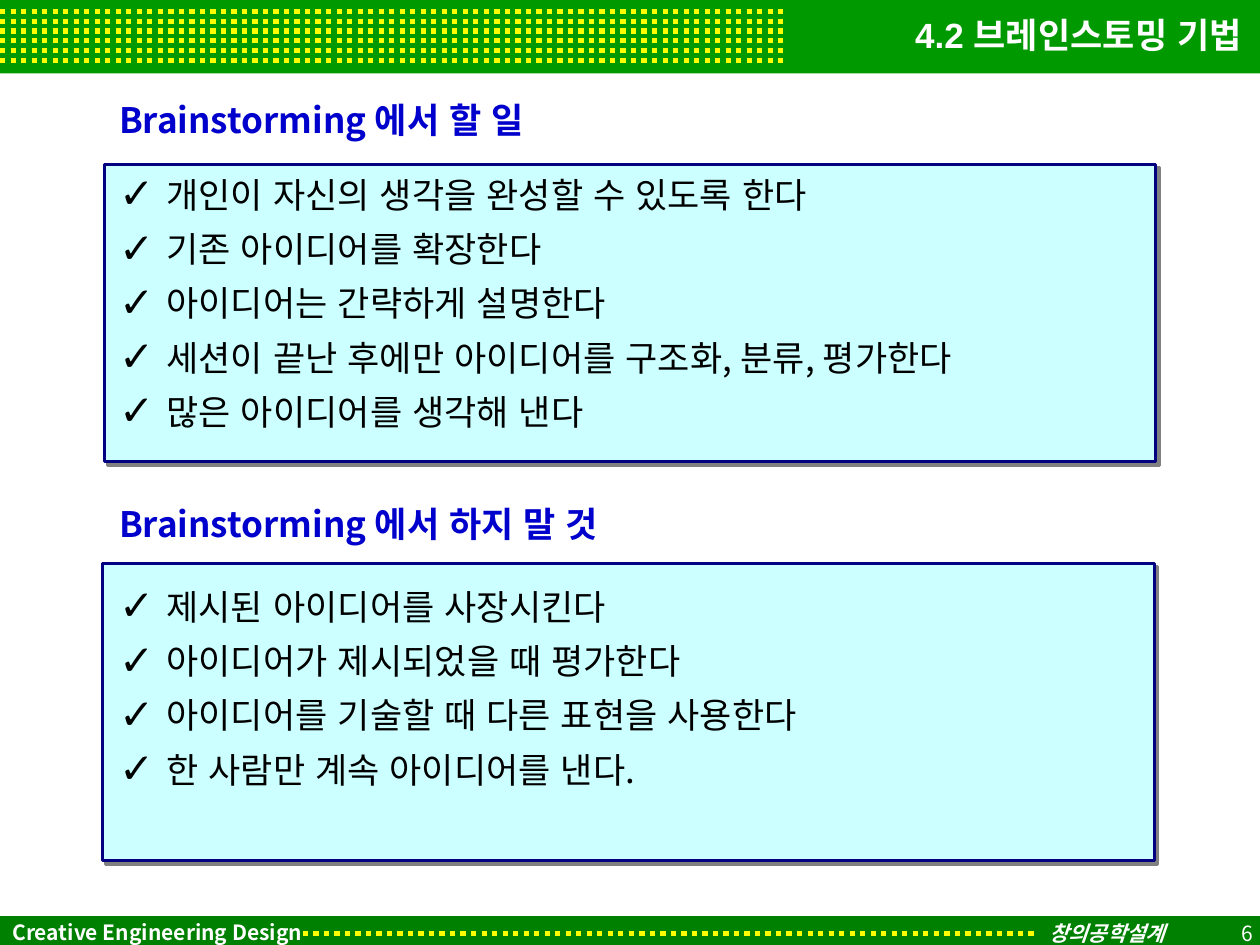
import pptx
import pptx.util
import pptx.dml.color
import pptx.enum.dml
import pptx.enum.shapes
import pptx.enum.text
import pptx.oxml
import pptx.oxml.ns

Pt = pptx.util.Pt
ALIGN = pptx.enum.text.PP_ALIGN
ANCHOR = pptx.enum.text.MSO_ANCHOR
SANS = "Noto Sans CJK KR"
COLORS = {"header": "009900", "footer": "008000", "dots": "FFFF00", "panel": "CCFFFF",
          "border": "000080", "shadow": "808080", "heading": "0000CC",
          "body": "000000", "light": "FFFFFF"}
DO_ITEMS = ["개인이 자신의 생각을 완성할 수 있도록 한다", "기존 아이디어를 확장한다",
            "아이디어는 간략하게 설명한다",
            "세션이 끝난 후에만 아이디어를 구조화, 분류, 평가한다",
            "많은 아이디어를 생각해 낸다"]
DONT_ITEMS = ["제시된 아이디어를 사장시킨다", "아이디어가 제시되었을 때 평가한다",
              "아이디어를 기술할 때 다른 표현을 사용한다", "한 사람만 계속 아이디어를 낸다."]


def rgb(name):
    """Return the named palette colour."""
    return pptx.dml.color.RGBColor.from_string(COLORS[name])


def xml(markup):
    """Parse one DrawingML element, given without its namespace declaration."""
    tag, rest = markup[1:].split(" ", 1)
    return pptx.oxml.parse_xml(f"<{tag} {pptx.oxml.ns.nsdecls('a')} {rest}")


def write(shape, lines, size, color, font=SANS, bold=False, italic=False,
          align=ALIGN.LEFT, wrap=True):
    """Fill a shape with vertically centred, formatted paragraphs."""
    frame = shape.text_frame
    frame.text = "\n".join(lines)
    frame.word_wrap = wrap
    frame.vertical_anchor = ANCHOR.MIDDLE
    for paragraph in frame.paragraphs:
        paragraph.alignment = align
        for run in paragraph.runs:
            run.font.size, run.font.name = Pt(size), font
            run.font.bold, run.font.italic = bold, italic
            run.font.color.rgb = rgb(color)
            run.font._element.find(pptx.oxml.ns.qn("a:latin")).addnext(
                xml('<a:ea typeface="Arial"/>'))
    return frame


def add_label(slide, box, text, size, color, **style):
    """Add a text box holding a single line."""
    label = slide.shapes.add_textbox(*map(Pt, box))
    return write(label, [text], size, color, **style)


def add_band(slide, top, height, color):
    """Add a full-width coloured band."""
    band = slide.shapes.add_shape(pptx.enum.shapes.MSO_SHAPE.RECTANGLE,
                                  0, Pt(top), Pt(720), Pt(height))
    band.shadow.inherit = False
    band.fill.solid()
    band.fill.fore_color.rgb = rgb(color)
    band.line.fill.background()
    return band


def add_dots(slide, left, right, y):
    """Add a horizontal dotted line."""
    dots = slide.shapes.add_connector(pptx.enum.shapes.MSO_CONNECTOR.STRAIGHT,
                                      Pt(left), Pt(y), Pt(right), Pt(y))
    dots.line.color.rgb = rgb("dots")
    dots.line.width = Pt(3)
    dots.line.dash_style = pptx.enum.dml.MSO_LINE.ROUND_DOT
    dots._element.spPr.append(xml("<a:effectLst />"))


def add_panel(slide, left, top):
    """Add a bordered panel with a hard drop shadow."""
    panel = slide.shapes.add_shape(pptx.enum.shapes.MSO_SHAPE.RECTANGLE,
                                   Pt(left), Pt(top), Pt(601), Pt(170))
    panel.fill.solid()
    panel.fill.fore_color.rgb = rgb("panel")
    panel.line.color.rgb = rgb("border")
    panel.line.width = Pt(1.75)
    panel._element.spPr.append(xml(
        f'<a:effectLst ><a:outerShdw dist="{Pt(2.8)}" dir="2700000" algn="ctr" '
        f'rotWithShape="0"><a:srgbClr val="{COLORS["shadow"]}"/>'
        '</a:outerShdw></a:effectLst>'))


def add_checklist(slide, top, width, items):
    """Add a list with check-mark bullets and even line pitch."""
    pitch, indent = 31, Pt(27)
    checklist = slide.shapes.add_textbox(Pt(61), Pt(top), Pt(width),
                                         Pt(pitch * len(items) + 7))
    frame = write(checklist, items, 20, "body")
    frame.vertical_anchor = ANCHOR.TOP
    frame.margin_top = 0
    for paragraph in frame.paragraphs:
        paragraph.line_spacing = Pt(pitch)
        properties = paragraph._p.get_or_add_pPr()
        properties.set("marL", str(indent))
        properties.set("indent", str(-indent))
        for bullet in ('<a:buSzPct val="120000"/>', '<a:buFont typeface="Arial"/>',
                       '<a:buChar char="✓"/>'):
            properties.append(xml(bullet))


def place_title(slide, text):
    """Move the title onto the header band and format it."""
    title = slide.shapes.title
    slide.shapes._spTree.append(title._element)
    title.left, title.top, title.width, title.height = map(Pt, (37, 0, 680, 39))
    write(title, [text], 20, "light", font="Arial", bold=True, align=ALIGN.RIGHT)


def main():
    """Build the slide and save it."""
    deck = pptx.Presentation()
    deck.slide_width, deck.slide_height = Pt(720), Pt(540)
    slide = deck.slides.add_slide(deck.slide_layouts[5])

    add_band(slide, 0, 42, "header")
    for row in range(6):
        add_dots(slide, 0, 450.5, 6.5 + 5.6 * row)
    footer = add_band(slide, 523.5, 18.5, "footer")
    write(footer, ["Creative Engineering Design"], 12, "light", bold=True, wrap=False)
    add_dots(slide, 173, 592.5, 533.5)
    add_label(slide, (592.5, 525, 96, 16.5), "창의공학설계", 12, "light",
              font="Arial", bold=True, italic=True)

    add_panel(slide, 58.5, 322)
    add_panel(slide, 59.5, 94)
    place_title(slide, "4.2 브레인스토밍 기법")
    add_label(slide, (561, 518.5, 162, 29), "6", 12, "light", align=ALIGN.RIGHT)
    add_label(slide, (61, 54, 441, 29), "Brainstorming 에서 할 일", 20, "heading", bold=True)
    add_checklist(slide, 92, 629, DO_ITEMS)
    add_checklist(slide, 327.5, 598, DONT_ITEMS)
    add_label(slide, (61, 284.5, 441, 29), "Brainstorming 에서 하지 말 것", 20, "heading", bold=True)
    deck.save("out.pptx")


if __name__ == "__main__":
    main()
